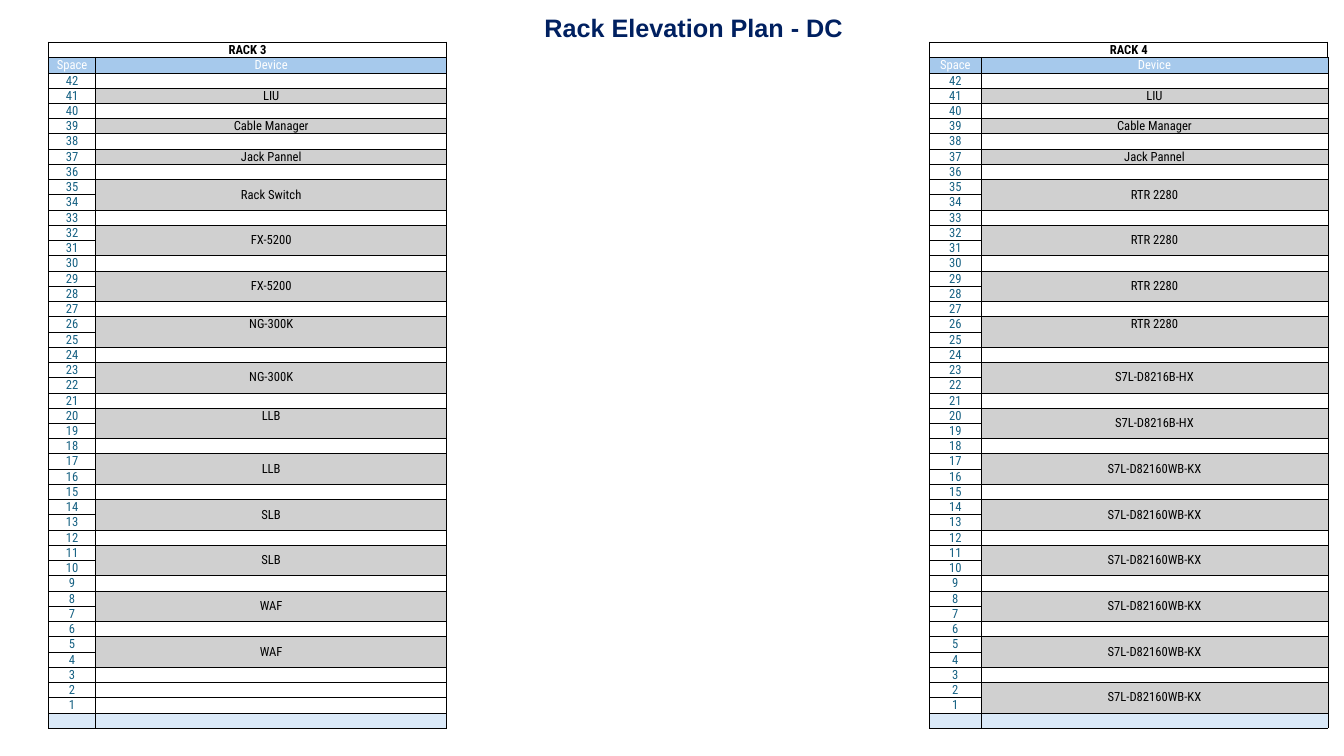
"""Build the rack elevation plan slide with one table per rack."""
from lxml import etree
from pptx import Presentation
from pptx.dml.color import RGBColor
from pptx.enum.text import MSO_ANCHOR, MSO_AUTO_SIZE, PP_ALIGN
from pptx.oxml.ns import qn
from pptx.util import Inches, Pt

CENTER, LEFT = PP_ALIGN.CENTER, PP_ALIGN.LEFT
MIDDLE, BOTTOM = MSO_ANCHOR.MIDDLE, MSO_ANCHOR.BOTTOM
NO_FIT = MSO_AUTO_SIZE.NONE

COLORS = {"title": "002060", "text": "000000", "space": "156082", "head_text": "FFFFFF",
          "head": "A6C9EC", "device": "D0D0D0", "foot": "DAE9F8", "line": "000000"}
FONT = "Roboto Condensed"
UNITS = 42
ROWS = UNITS + 3
ROW_HEIGHT = Inches(6.81 / ROWS)
PATCHING = {41: "LIU", 39: "Cable Manager", 37: "Jack Pannel"}
RACKS = [
    {"name": "RACK 3", "left": 0.48, "cols": (0.47, 3.48), "unmerged": (26, 20),
     "devices": ["Rack Switch"] + ["FX-5200"] * 2 + ["NG-300K"] * 2
     + ["LLB"] * 2 + ["SLB"] * 2 + ["WAF"] * 2},
    {"name": "RACK 4", "left": 9.22, "cols": (0.51, 3.44), "unmerged": (26,),
     "devices": ["RTR 2280"] * 4 + ["S7L-D8216B-HX"] * 2 + ["S7L-D82160WB-KX"] * 6},
]


def set_borders(cell, widths):
    tcPr = cell._tc.get_or_add_tcPr()
    for side in "LRTB":
        width = widths.get(side, 0.5)
        ln = etree.SubElement(tcPr, qn(f"a:ln{side}"), w=str(Pt(width)))
        if width:
            fill = etree.SubElement(ln, qn("a:solidFill"))
            etree.SubElement(fill, qn("a:srgbClr"), val=COLORS["line"])
        else:
            etree.SubElement(ln, qn("a:noFill"))


def set_cell(cell, text="", color="text", fill=None, anchor=BOTTOM, bold=False, borders=None):
    set_borders(cell, borders or {})
    if fill:
        cell.fill.solid()
        cell.fill.fore_color.rgb = RGBColor.from_string(COLORS[fill])
    else:
        cell.fill.background()
    for side in ("left", "right", "top", "bottom"):
        setattr(cell, f"margin_{side}", 0)
    cell.vertical_anchor = anchor
    p = cell.text_frame.paragraphs[0]
    p.alignment = CENTER
    if not text:
        end = etree.SubElement(p._p, qn("a:endParaRPr"), sz="900")
        etree.SubElement(end, qn("a:latin"), typeface=FONT)
        return
    r = p.add_run()
    r.text = text
    for name, value in {"name": FONT, "size": Pt(9), "bold": bold}.items():
        setattr(r.font, name, value)
    r.font.color.rgb = RGBColor.from_string(COLORS[color])


prs = Presentation()
prs.slide_width, prs.slide_height = Inches(13.33), Inches(7.5)
s = prs.slides.add_slide(prs.slide_layouts[5])

for rack in RACKS:
    table = s.shapes.add_table(ROWS, 2, Inches(rack["left"]), Inches(0.42),
                               Inches(sum(rack["cols"])), ROW_HEIGHT * ROWS).table
    table.first_row = table.horz_banding = False
    for col, width in zip(table.columns, rack["cols"]):
        col.width = Inches(width)
    for row in table.rows:
        row.height = ROW_HEIGHT

    table.cell(0, 0).merge(table.cell(0, 1))
    thick = dict.fromkeys("LRTB", 1)
    set_cell(table.cell(0, 0), rack["name"], bold=True, borders=thick)
    set_cell(table.cell(0, 1), borders=thick)
    for col, label in enumerate(("Space", "Device")):
        set_cell(table.cell(1, col), label, "head_text", "head", MIDDLE, borders={"T": 1})
        set_cell(table.cell(ROWS - 1, col), fill="foot")

    double = dict(zip(range(35, 0, -3), rack["devices"]))
    for unit in range(UNITS, 0, -1):
        row = UNITS - unit + 2
        set_cell(table.cell(row, 0), str(unit), "space")
        cell = table.cell(row, 1)
        if unit in PATCHING:
            set_cell(cell, PATCHING[unit], fill="device")
        elif unit in double:
            split = unit in rack["unmerged"]
            if not split:
                cell.merge(table.cell(row + 1, 1))
            set_cell(cell, double[unit], fill="device", anchor=MIDDLE,
                     borders={"B": 0} if split else None)
        elif unit + 1 in double:
            split = unit + 1 in rack["unmerged"]
            set_cell(cell, fill="device", borders={"T": 0} if split else None)
        else:
            set_cell(cell)

title = s.shapes.title
title.left, title.top, title.width, title.height = map(Inches, (5.3, 0.4, 3.19, 0.05))
tf = title.text_frame
tf.auto_size = NO_FIT
tf.vertical_anchor = BOTTOM
p = tf.paragraphs[0]
p.alignment, p.line_spacing = LEFT, 0.9
r = p.add_run()
r.text = "Rack Elevation Plan - DC"
for name, value in {"name": "Arial", "size": Pt(18), "bold": True}.items():
    setattr(r.font, name, value)
r.font.color.rgb = RGBColor.from_string(COLORS["title"])

prs.save("out.pptx")
